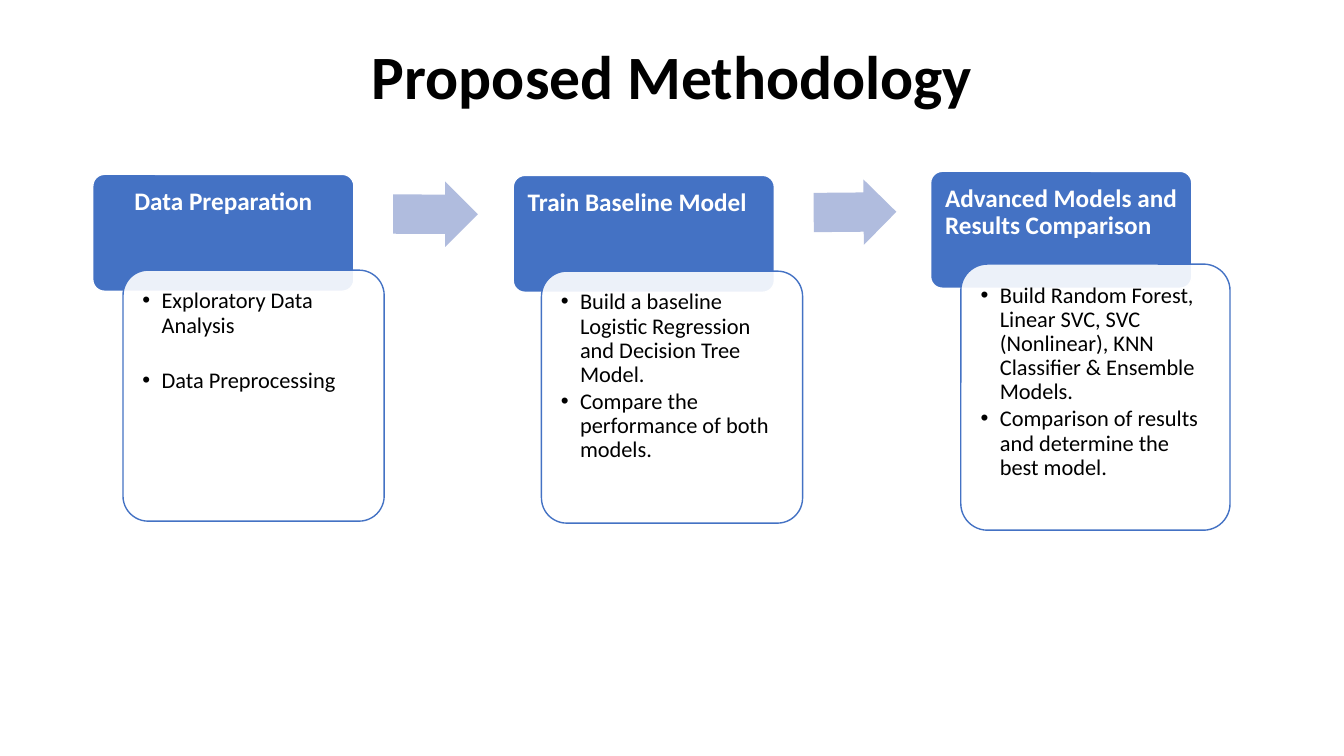
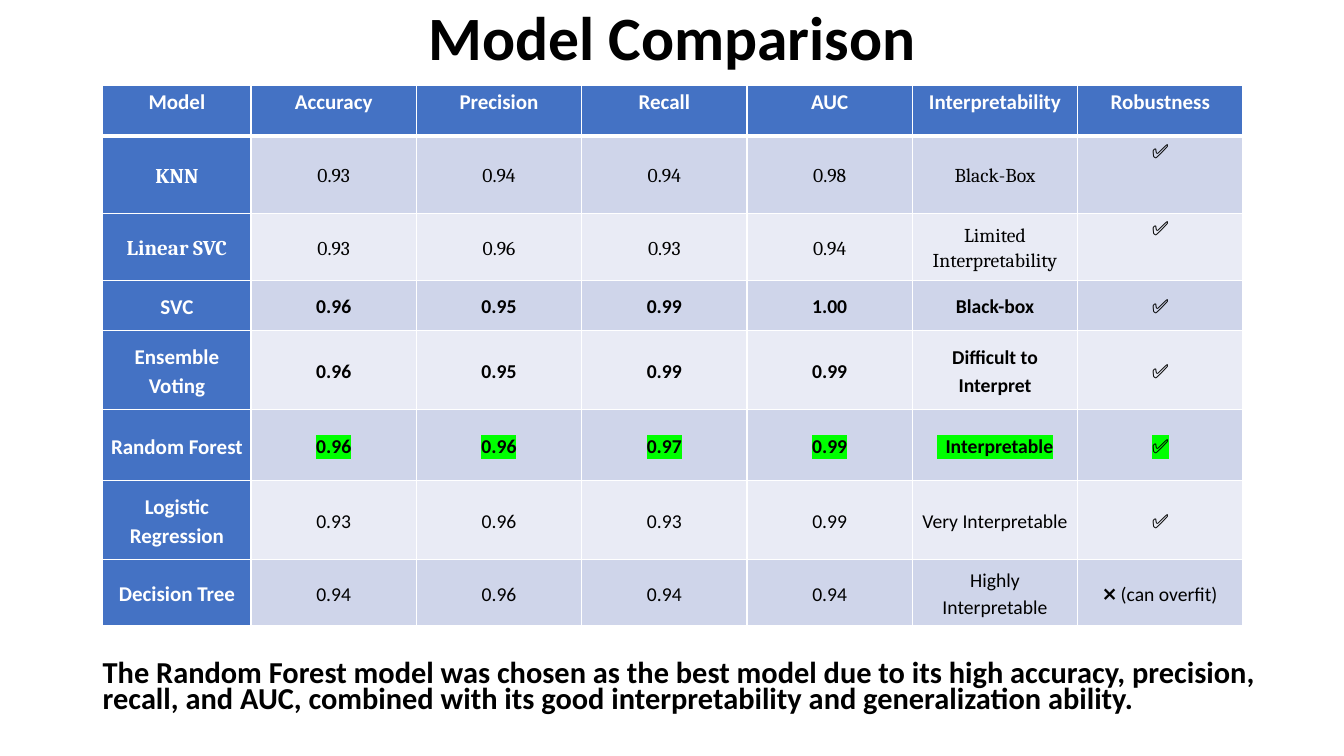
"""Build the methodology and model comparison slides."""
from dataclasses import dataclass
from typing import NamedTuple

from lxml import etree
from pptx import Presentation
from pptx.dml.color import RGBColor
from pptx.enum.shapes import MSO_SHAPE as SHAPE
from pptx.enum.text import MSO_ANCHOR as ANCHOR, PP_ALIGN as ALIGN
from pptx.oxml.ns import qn
from pptx.util import Inches, Pt

BLUE, WHITE, BLACK = "4472C4", "FFFFFF", "000000"
ARROW_BLUE, BANDS, GREEN = "B0BCDE", ("CFD5EA", "E9EBF5"), "00FF00"
SANS, SERIF = "Calibri", "Cambria"


class Box(NamedTuple):
    left: float
    top: float
    width: float
    height: float

    def lengths(self):
        return [Inches(v) for v in self]


@dataclass
class Stage:
    title: str
    points: list[str]
    header: Box
    body: Box
    align: ALIGN = ALIGN.LEFT
    gap: float = 0


@dataclass
class Arrow:
    box: Box
    rotation: float


@dataclass
class ModelRow:
    cells: list[str]
    height: float
    font: str = SANS
    bold: bool = False
    highlight: str | None = None
    mark_anchor: ANCHOR = ANCHOR.MIDDLE


STAGES = [
    Stage("Data Preparation", ["Exploratory Data Analysis", "Data Preprocessing"],
          Box(0.92, 1.73, 2.59, 1.16), Box(1.22, 2.68, 2.59, 2.49), ALIGN.CENTER, 20),
    Stage("Train Baseline Model",
          ["Build a baseline Logistic Regression and Decision Tree Model.",
           "Compare the performance of both models."],
          Box(5.09, 1.74, 2.59, 1.16), Box(5.37, 2.69, 2.59, 2.5)),
    Stage("Advanced Models and Results Comparison",
          ["Build Random Forest, Linear SVC, SVC (Nonlinear), KNN Classifier & Ensemble Models.",
           "Comparison of results and determine the best model."],
          Box(9.23, 1.7, 2.59, 1.16), Box(9.53, 2.62, 2.67, 2.64)),
]
ARROWS = [Arrow(Box(3.9, 1.8, 0.84, 0.65), 0.1), Arrow(Box(8.07, 1.78, 0.82, 0.65), 359.5)]

HEADINGS = ["Model", "Accuracy", "Precision", "Recall", "AUC", "Interpretability", "Robustness"]
MODELS = [
    ModelRow(["KNN", "0.93", "0.94", "0.94", "0.98", "Black-Box", "✅"], 0.77, SERIF,
             mark_anchor=ANCHOR.TOP),
    ModelRow(["Linear SVC", "0.93", "0.96", "0.93", "0.94", "Limited Interpretability", "✅"],
             0.66, SERIF, mark_anchor=ANCHOR.TOP),
    ModelRow(["SVC", "0.96", "0.95", "0.99", "1.00", "Black-box", "✅"], 0.5, bold=True),
    ModelRow(["Ensemble Voting", "0.96", "0.95", "0.99", "0.99", "Difficult to Interpret", "✅"],
             0.78, bold=True),
    ModelRow(["Random Forest", "0.96", "0.96", "0.97", "0.99", "  Interpretable", "✅"],
             0.71, bold=True, highlight=GREEN),
    ModelRow(["Logistic Regression", "0.93", "0.96", "0.93", "0.99", "Very Interpretable", "✅"],
             0.78),
    ModelRow(["Decision Tree", "0.94", "0.96", "0.94", "0.94", "Highly Interpretable",
              "❌ (can overfit)"], 0.66),
]
HEADING_HEIGHT = 0.5
CONCLUSION = ("The Random Forest model was chosen as the best model due to its high accuracy, "
              "precision, recall, and AUC, combined with its good interpretability and "
              "generalization ability.")


def rgb(value: str) -> RGBColor:
    return RGBColor.from_string(value)


def add_color(parent, tag: str, value: str):
    el = etree.SubElement(parent, qn(tag))
    return etree.SubElement(el, qn("a:srgbClr"), val=value)


def write(p, text: str, *, size: float, color: str = BLACK, font: str = SANS,
          bold: bool = False, align: ALIGN = ALIGN.LEFT, spacing: float = 0.9,
          before: float = 0, after: float = 0, highlight: str | None = None) -> None:
    p.alignment, p.line_spacing = align, spacing
    p.space_before, p.space_after = Pt(before), Pt(after)
    r = p.add_run()
    r.text = text
    r.font.size, r.font.bold, r.font.name = Pt(size), bold, font
    r.font.color.rgb = rgb(color)
    if highlight:
        rpr = r.font._element
        add_color(rpr, "a:highlight", highlight)
        rpr.find(qn("a:solidFill")).addnext(rpr[-1])


def set_margins(target, left: float, top: float, right: float, bottom: float) -> None:
    target.margin_left, target.margin_top = Inches(left), Inches(top)
    target.margin_right, target.margin_bottom = Inches(right), Inches(bottom)


def add_bullet(p, indent: float) -> None:
    ppr = p._p.get_or_add_pPr()
    ppr.set("marL", str(Inches(indent)))
    ppr.set("indent", str(-Inches(indent)))
    etree.SubElement(ppr, qn("a:buFont"), typeface="Arial")
    etree.SubElement(ppr, qn("a:buChar"), char="•")


def add_text(slide, box: Box, text: str, anchor: ANCHOR = ANCHOR.TOP, **fmt) -> None:
    tf = slide.shapes.add_textbox(*box.lengths()).text_frame
    tf.word_wrap, tf.vertical_anchor = True, anchor
    write(tf.paragraphs[0], text, **fmt)


def add_title(slide, text: str, top: float, height: float) -> None:
    add_text(slide, Box(0.92, top, 11.5, height), text, ANCHOR.MIDDLE,
             size=44, bold=True, align=ALIGN.CENTER)


def add_shape(slide, kind: SHAPE, box: Box, fill: str, line: str | None,
              adjustments: tuple[float, ...], alpha: int = 100):
    sp = slide.shapes.add_shape(kind, *box.lengths())
    sp.shadow.inherit = False
    for i, value in enumerate(adjustments):
        sp.adjustments[i] = value
    sp.fill.solid()
    sp.fill.fore_color.rgb = rgb(fill)
    if alpha < 100:
        clr = sp._element.spPr.find(qn("a:solidFill"))[0]
        etree.SubElement(clr, qn("a:alpha"), val=str(alpha * 1000))
    if line:
        sp.line.color.rgb, sp.line.width = rgb(line), Pt(1)
    else:
        sp.line.fill.background()
    tf = sp.text_frame
    tf.word_wrap, tf.vertical_anchor = True, ANCHOR.TOP
    return sp


def add_stage(slide, stage: Stage) -> None:
    tf = add_shape(slide, SHAPE.ROUNDED_RECTANGLE, stage.header, BLUE, WHITE, (0.1,)).text_frame
    set_margins(tf, 0.11, 0.11, 0.11, 0.07)
    write(tf.paragraphs[0], stage.title, size=18, color=WHITE, bold=True, align=stage.align)
    tf = add_shape(slide, SHAPE.ROUNDED_RECTANGLE, stage.body, WHITE, BLUE, (0.1,), 90).text_frame
    set_margins(tf, 0.12, 0.12, 0.12, 0.12)
    for i, point in enumerate(stage.points):
        p = tf.add_paragraph() if i else tf.paragraphs[0]
        write(p, point, size=16, before=stage.gap if i else 0, after=2)
        add_bullet(p, 0.19)


def fill_cell(cell, text: str, fill: str, anchor: ANCHOR, top: int = 1, bottom: int = 1,
              **fmt) -> None:
    cell.fill.solid()
    cell.fill.fore_color.rgb = rgb(fill)
    cell.vertical_anchor = anchor
    set_margins(cell, 0.07, 0, 0.07, 0)
    write(cell.text_frame.paragraphs[0], text, align=ALIGN.CENTER, spacing=1.15, after=10, **fmt)
    tcpr = cell._tc.get_or_add_tcPr()
    for i, (side, width) in enumerate(zip("LRTB", (1, 1, top, bottom))):
        ln = etree.Element(qn(f"a:ln{side}"), w=str(Pt(width)))
        add_color(ln, "a:solidFill", WHITE)
        tcpr.insert(i, ln)


def add_model_table(slide) -> None:
    heights = [HEADING_HEIGHT] + [m.height for m in MODELS]
    widths = [1.47] + [1.64] * (len(HEADINGS) - 1)
    box = Box(1.02, 0.85, sum(widths), sum(heights))
    table = slide.shapes.add_table(len(heights), len(widths), *box.lengths()).table
    table.first_row = table.horz_banding = False
    for col, width in zip(table.columns, widths):
        col.width = Inches(width)
    for row, height in zip(table.rows, heights):
        row.height = Inches(height)
    label = dict(size=15, color=WHITE, bold=True)
    for c, text in enumerate(HEADINGS):
        fill_cell(table.cell(0, c), text, BLUE, ANCHOR.TOP, bottom=3, **label)
    for r, model in enumerate(MODELS, 1):
        top = 3 if r == 1 else 1
        name, *values = model.cells
        fill_cell(table.cell(r, 0), name, BLUE, ANCHOR.MIDDLE, top, font=model.font, **label)
        for c, text in enumerate(values, 1):
            is_mark = c == len(values)
            fill_cell(table.cell(r, c), text, BANDS[(r - 1) % 2],
                      model.mark_anchor if is_mark else ANCHOR.MIDDLE, top, size=14,
                      font=SANS if is_mark else model.font, bold=model.bold,
                      highlight=model.highlight)


def add_methodology(slide) -> None:
    add_title(slide, "Proposed Methodology", 0.4, 0.78)
    for stage in STAGES:
        add_stage(slide, stage)
    for arrow in ARROWS:
        sp = add_shape(slide, SHAPE.RIGHT_ARROW, arrow.box, ARROW_BLUE, None, (0.6, 0.5))
        sp.rotation = arrow.rotation


def add_comparison(slide) -> None:
    add_title(slide, "Model Comparison", 0, 0.8)
    add_text(slide, Box(0.92, 6.53, 11.81, 0.73), CONCLUSION, size=21.7, bold=True, spacing=0.7)
    add_model_table(slide)


def main() -> None:
    prs = Presentation()
    prs.slide_width, prs.slide_height = Inches(13.33), Inches(7.5)
    for build in (add_methodology, add_comparison):
        build(prs.slides.add_slide(prs.slide_layouts[6]))
    prs.save("out.pptx")


if __name__ == "__main__":
    main()
